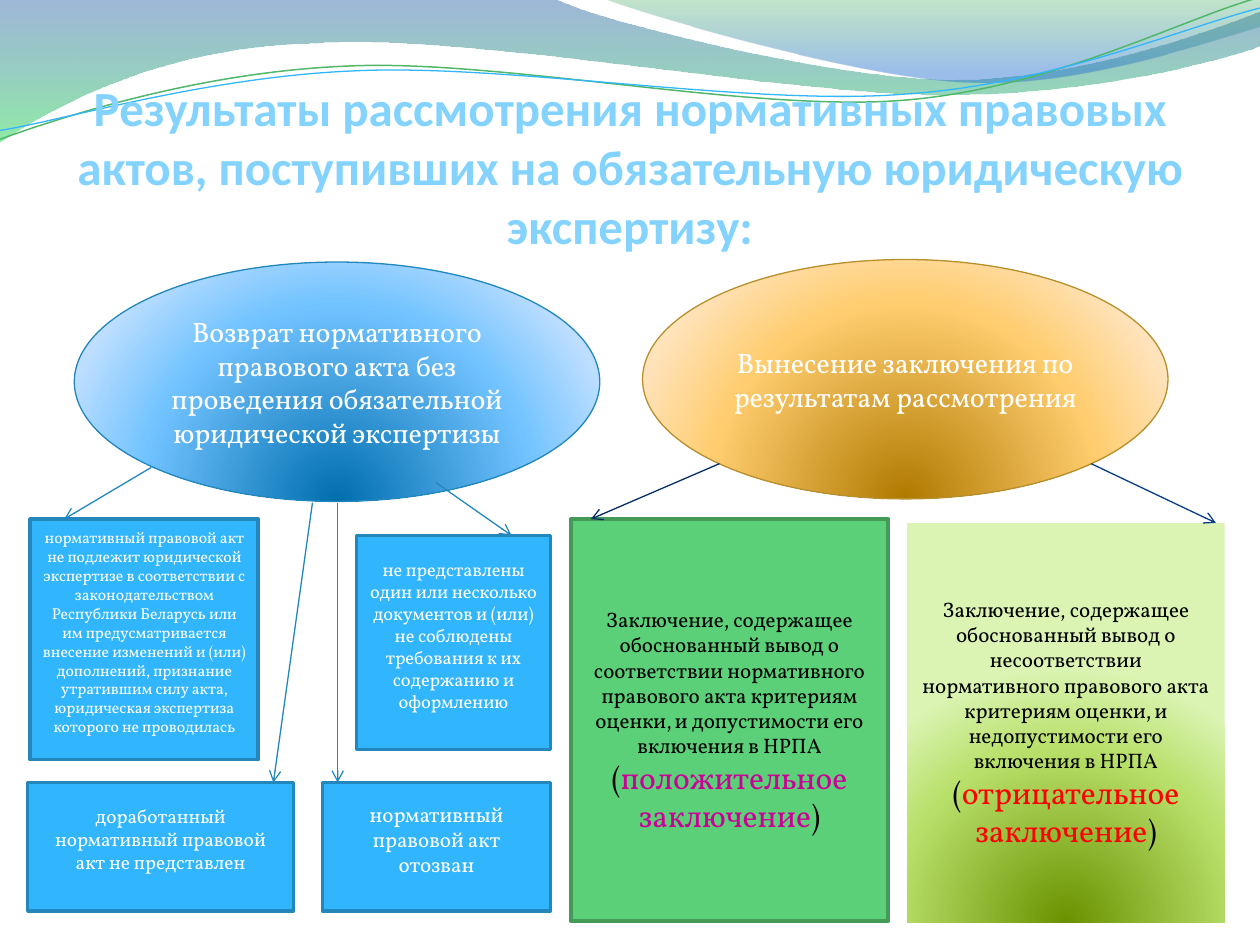
"""Build a slide on the outcomes of the mandatory legal review of acts."""
from lxml.etree import SubElement as Sub
from pptx import Presentation
from pptx.dml.color import RGBColor as RGB
from pptx.enum.shapes import MSO_CONNECTOR as Link, MSO_SHAPE as Kind
from pptx.enum.text import MSO_ANCHOR as Anchor, PP_ALIGN as Align
from pptx.oxml.ns import qn
from pptx.util import Pt

UNIT = 9144
SERIF = "Vollkorn"
WHITE = RGB(255, 255, 255)
BLACK = RGB(0, 0, 0)
SKY = RGB(0x83, 0xD3, 0xFE)
BLUE = RGB(0x31, 0xB6, 0xFD)
EDGE = RGB(0x24, 0x87, 0xBB)
RIM = RGB(0x22, 0x87, 0xBD)
GOLD = RGB(0xB7, 0x8F, 0x2D)
GREEN = RGB(0x5B, 0xD0, 0x78)
MOSS = RGB(0x43, 0x9A, 0x59)
STEM = RGB(0x50, 0xB8, 0x6A)
NAVY = RGB(0x05, 0x2E, 0x65)
ROYAL = RGB(0x07, 0x3E, 0x87)
PINK = RGB(0xCC, 0x00, 0x99)
RED = RGB(0xFF, 0x00, 0x00)
BLUE_GLOW = [(0, RGB(0x00, 0x6E, 0xAE), 100), (68, RGB(0x71, 0xC3, 0xFF), 100),
             (100, RGB(0xBD, 0xDE, 0xFF), 100)]
GOLD_GLOW = [(0, RGB(0xB0, 0x7A, 0x00), 100), (68, RGB(0xFF, 0xCD, 0x6F), 100),
             (100, RGB(0xFF, 0xE3, 0xBB), 100)]
LIME_GLOW = [(0, RGB(0x6A, 0x92, 0x00), 100), (68, RGB(0xB8, 0xDF, 0x69), 100),
             (100, RGB(0xDB, 0xF4, 0xB3), 100)]
LEFT_TINT = [(0, RGB(0x29, 0x60, 0xA7), 45), (100, RGB(0x35, 0xDA, 0x5E), 55)]
RIGHT_TINT = [(0, RGB(0x36, 0xA7, 0x52), 30), (80, RGB(0x24, 0x72, 0xD3), 45)]

TILT = 357.3
LEFT_WAVE = [(0, 0), (440, -1), (476, 17, 664, 63, 758, 63), (853, 63, 958, 26, 1000, 9),
             (1001, 36), (983, 44, 870, 76, 746, 75), (622, 75, 382, 28, 257, 34),
             (129, 36, 46, 83, -1, 113)]
RIGHT_WAVE = [(479, -1), (509, 11, 682, 62, 769, 65), (856, 69, 961, 32, 1000, 21), (1000, 0)]
GREEN_LINE = [(-2, 87), (47, 72, 158, 41, 277, 42), (396, 42, 591, 93, 712, 90),
              (832, 87, 939, 36, 1000, 22)]
BLUE_LINE = [(-2, 80), (46, 75, 164, 45, 283, 46), (403, 46, 596, 89, 716, 85),
             (835, 83, 942, 42, 1002, 30)]

TITLE = ("Результаты рассмотрения нормативных правовых актов, "
         "поступивших на обязательную юридическую экспертизу:")
FINDING = ("Заключение, содержащее обоснованный вывод о {} нормативного правового акта "
           "критериям оценки,")
REASONS = [
    ((24, 412, 181, 191), 9,
     "нормативный правовой акт не подлежит юридической экспертизе в соответствии с "
     "законодательством Республики Беларусь или им предусматривается внесение изменений "
     "и (или) дополнений, признание утратившим силу акта, юридическая экспертиза "
     "которого не проводилась"),
    ((283, 425, 154, 170), 10.5,
     "не представлены один или несколько документов и (или) не соблюдены требования "
     "к их содержанию и оформлению"),
    ((22, 621, 211, 102), 11, "доработанный нормативный правовой акт не представлен"),
    ((256, 621, 181, 102), 12, "нормативный правовой акт отозван"),
]
ARROWS = [
    (571, 368, 469, 412, NAVY), (866, 368, 965, 415, ROYAL), (120, 371, 51, 412, RIM),
    (346, 383, 406, 425, RIM), (248, 399, 217, 621, RIM), (268, 399, 268, 621, RIM),
]


def px(*vals):
    """Turn px lengths into EMU."""
    return [round(val * UNIT) for val in vals]


def blend(shape, stops, glow=True):
    """Fill a shape with a glow from below or a downward gradient."""
    shape.fill.solid()
    props = shape._element.spPr
    old = props.find(qn("a:solidFill"))
    grad = props.makeelement(qn("a:gradFill"), {"rotWithShape": "1"})
    props.replace(old, grad)
    row = Sub(grad, qn("a:gsLst"))
    for pos, tone, alpha in stops:
        stop = Sub(row, qn("a:gs"), pos=str(pos * 1000))
        hue = Sub(stop, qn("a:srgbClr"), val=str(tone))
        if alpha < 100:
            Sub(hue, qn("a:alpha"), val=str(alpha * 1000))
    if glow:
        way = Sub(grad, qn("a:path"), path="circle")
        Sub(way, qn("a:fillToRect"), l="50000", t="130000", r="50000", b="-30000")
    else:
        Sub(grad, qn("a:lin"), ang="5400000", scaled="0")


def bend(shape, parts):
    """Merge each three segments of a curved part into one Bezier."""
    segs = iter(list(shape._element.spPr.iter(qn("a:lnTo"))))
    for part in parts[1:]:
        first = next(segs)
        if len(part) == 6:
            curve = first.makeelement(qn("a:cubicBezTo"), {})
            first.addprevious(curve)
            for seg in (first, next(segs), next(segs)):
                curve.append(seg[0])
                seg.getparent().remove(seg)


def add_wave(slide, parts, tint=None, tone=None, width=0):
    """Draw a tinted band or, without a tint, a thin tilted curve."""
    pts = [tuple(px(*part[i:i + 2])) for part in parts for i in range(0, len(part), 2)]
    pen = slide.shapes.build_freeform(*pts[0])
    pen.add_line_segments(pts[1:], close=bool(tint))
    wave = pen.convert_to_shape()
    bend(wave, parts)
    wave.shadow.inherit = False
    if tint:
        blend(wave, tint, glow=False)
        wave.line.fill.background()
    else:
        wave.rotation = TILT
        wave.fill.background()
        wave.line.color.rgb = tone
        wave.line.width = Pt(width)


def add_title(slide):
    """Place the title in front of the waves."""
    title = slide.shapes.title
    slide.shapes._spTree.append(title._element)
    title.left, title.top, title.width, title.height = px(50, 44, 900, 158)
    frame = title.text_frame
    frame.text = TITLE
    frame.vertical_anchor = Anchor.BOTTOM
    frame.margin_left = frame.margin_right = frame.margin_bottom = 0
    para = frame.paragraphs[0]
    para.alignment = Align.CENTER
    font = para.runs[0].font
    font.name, font.size, font.bold = "Calibri", Pt(28), True
    font.color.rgb = SKY


def add_box(slide, kind, box, runs, fill, edge=None, width=2):
    """Draw a shape holding centred runs of (text, size, colour)."""
    shape = slide.shapes.add_shape(kind, *px(*box))
    shape.shadow.inherit = False
    if isinstance(fill, list):
        blend(shape, fill)
    else:
        shape.fill.solid()
        shape.fill.fore_color.rgb = fill
    if edge:
        shape.line.color.rgb = edge
        shape.line.width = Pt(width)
    else:
        shape.line.fill.background()
    frame = shape.text_frame
    frame.word_wrap = True
    frame.vertical_anchor = Anchor.MIDDLE
    para = frame.paragraphs[0]
    para.alignment = Align.CENTER
    for text, size, tone in runs:
        run = para.add_run()
        run.text = text
        run.font.name, run.font.size = SERIF, Pt(size)
        run.font.color.rgb = tone
    return shape


def add_arrow(slide, x1, y1, x2, y2, tone):
    """Draw a thin line with an open arrowhead."""
    line = slide.shapes.add_connector(Link.STRAIGHT, *px(x1, y1, x2, y2))
    line.line.color.rgb = tone
    line.line.width = Pt(0.75)
    Sub(line.line._get_or_add_ln(), qn("a:tailEnd"), type="arrow")
    Sub(line._element.spPr, qn("a:effectLst"))


def verdict(match, entry, mark, tone):
    """Give the runs of a conclusion with its marked outcome."""
    return [(FINDING.format(match), 12, BLACK), (" ", 9, WHITE),
            (f"и {entry} его включения в НРПА ", 12, BLACK), ("(", 18, BLACK),
            (mark + " заключение", 18, tone), (")", 18, BLACK)]


def main():
    """Build and save the slide."""
    deck = Presentation()
    deck.slide_width, deck.slide_height = px(1000, 750)
    slide = deck.slides.add_slide(deck.slide_layouts[5])
    add_wave(slide, LEFT_WAVE, LEFT_TINT)
    add_wave(slide, RIGHT_WAVE, RIGHT_TINT)
    add_wave(slide, GREEN_LINE, tone=STEM, width=0.85)
    add_wave(slide, BLUE_LINE, tone=BLUE, width=0.75)
    add_title(slide)
    add_box(slide, Kind.OVAL, (59, 208, 417, 190),
            [("Возврат нормативного правового акта без проведения обязательной "
              "юридической экспертизы", 16, WHITE)], BLUE_GLOW, RIM, 0.75)
    add_box(slide, Kind.OVAL, (510, 206, 417, 190),
            [("Вынесение заключения по результатам рассмотрения", 16, WHITE)],
            GOLD_GLOW, GOLD, 0.75)
    add_box(slide, Kind.RECTANGLE, (453, 412, 252, 319),
            verdict("соответствии", "допустимости", "положительное", PINK), GREEN, MOSS)
    add_box(slide, Kind.RECTANGLE, (720, 415, 252, 317),
            verdict("несоответствии", "недопустимости", "отрицательное", RED), LIME_GLOW)
    for box, size, text in REASONS:
        shape = add_box(slide, Kind.RECTANGLE, box, [(text, size, WHITE)], BLUE, EDGE)
        shape.text_frame.margin_bottom = px(17)[0]
    for arrow in ARROWS:
        add_arrow(slide, *arrow)
    deck.save("out.pptx")


if __name__ == "__main__":
    main()
